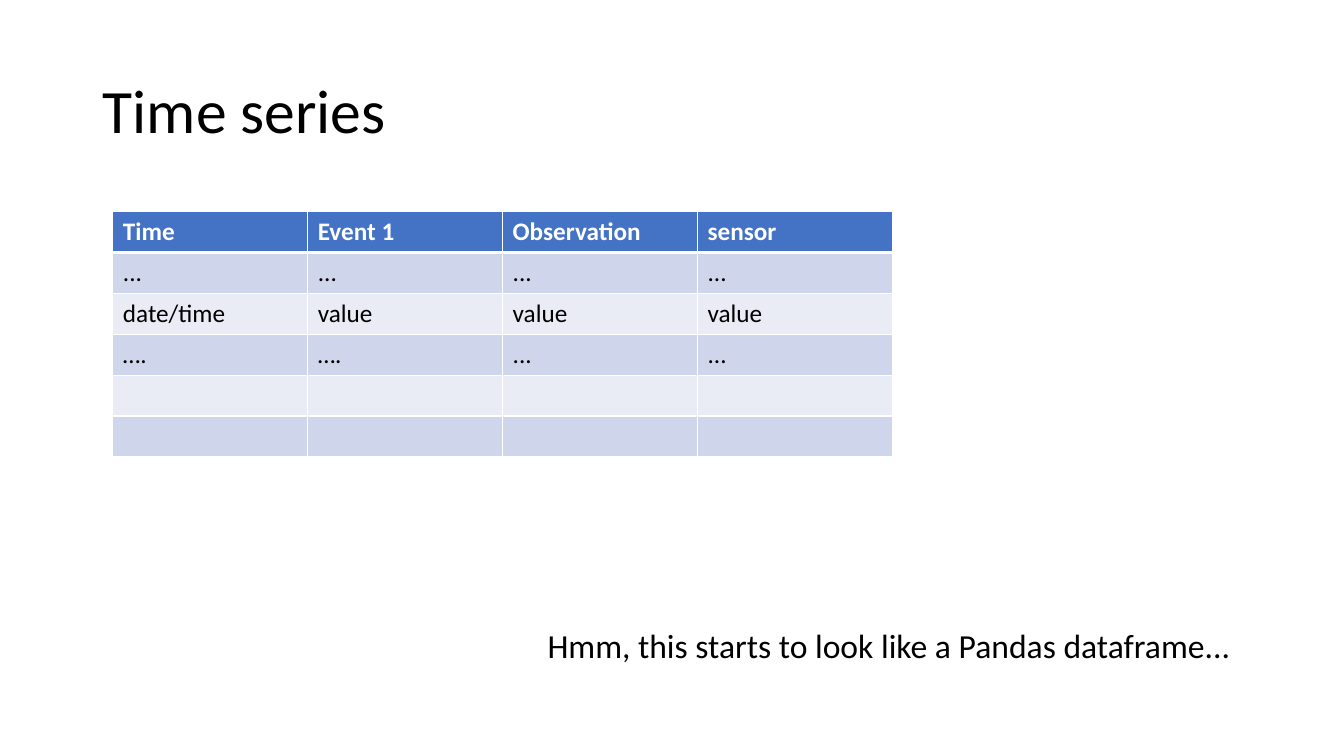
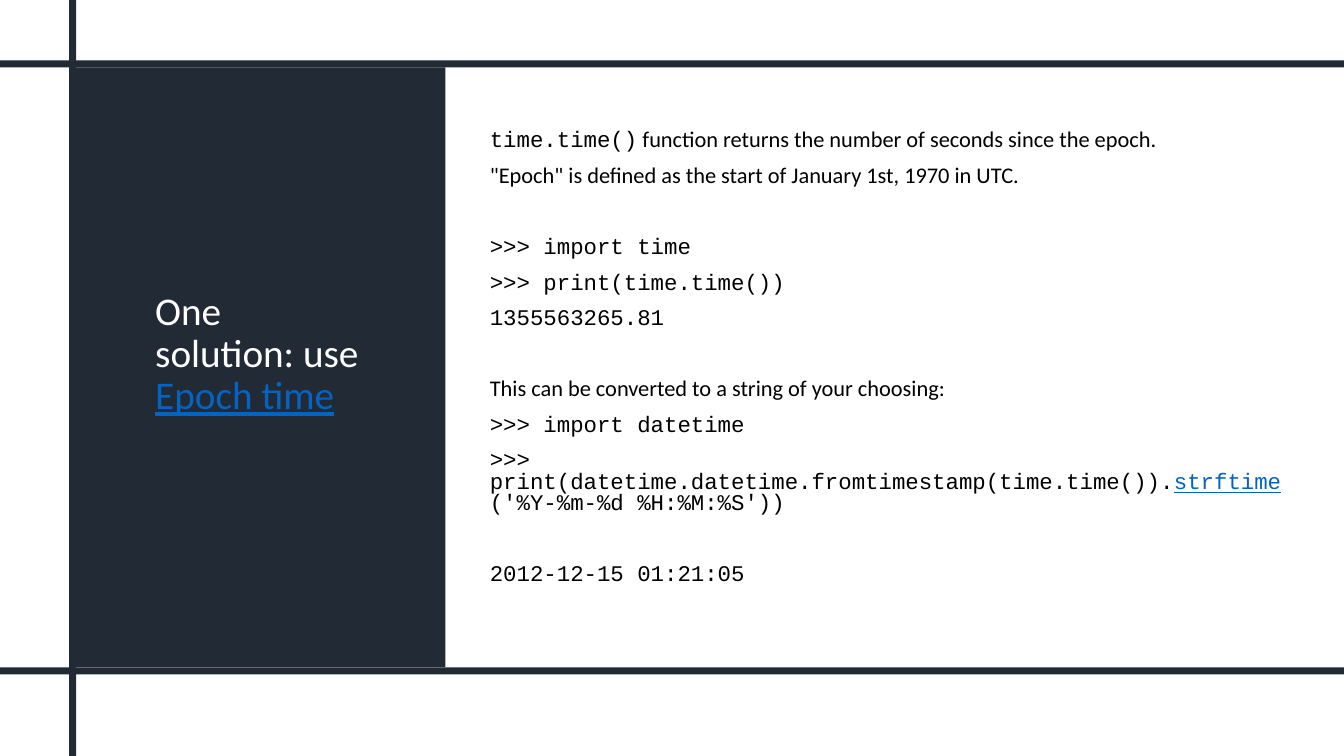
from lxml.etree import SubElement
from pptx import Presentation
from pptx.dml.color import RGBColor
from pptx.enum.shapes import MSO_SHAPE
from pptx.enum.text import MSO_ANCHOR, MSO_AUTO_SIZE, PP_ALIGN
from pptx.oxml.ns import qn
from pptx.util import Inches, Pt

WHITE = RGBColor(0xFF, 0xFF, 0xFF)
BLACK = RGBColor(0x00, 0x00, 0x00)
NAVY = RGBColor(0x22, 0x2A, 0x35)
BLUE = RGBColor(0x44, 0x72, 0xC4)
LINK = RGBColor(0x05, 0x63, 0xC1)
BANDS = (RGBColor(0xE9, 0xEB, 0xF5), RGBColor(0xCF, 0xD5, 0xEA))
SANS = "Calibri"
MONO = "Courier New"


class Deck:
    def __init__(self):
        self.deck = Presentation()
        self.deck.slide_width = Inches(13.33)
        self.deck.slide_height = Inches(7.5)
        self.slide = None

    def start(self, layout):
        self.slide = self.deck.slides.add_slide(self.deck.slide_layouts[layout])

    def box(self, left, top, width, height):
        wide, high = self.deck.slide_width, self.deck.slide_height
        return [int(share * side / 100) for share, side in
                ((left, wide), (top, high), (width, wide), (height, high))]

    def place(self, shape, area):
        shape.left, shape.top, shape.width, shape.height = self.box(*area)
        frame = shape.text_frame
        frame.word_wrap = True
        frame.auto_size = MSO_AUTO_SIZE.NONE
        frame.vertical_anchor = MSO_ANCHOR.MIDDLE
        return frame

    def words(self, para, text, size, color=BLACK, face=SANS, bold=False, line=False):
        run = para.add_run()
        run.text = text
        font = run.font
        font.name, font.size, font.bold = face, Pt(size), bold
        font.underline = line
        font.color.rgb = color

    def title(self, area, size, *parts):
        para = self.place(self.slide.shapes.title, area).paragraphs[0]
        para.alignment = PP_ALIGN.LEFT
        para.line_spacing = 0.9
        for text, color, line in parts:
            self.words(para, text, size, color, line=line)

    def body(self, area, size, groups):
        frame = self.place(self.slide.placeholders[1], area)
        para = None
        for group in groups:
            for index, parts in enumerate(group):
                first = para is None
                para = frame.paragraphs[0] if first else frame.add_paragraph()
                para.line_spacing = 0.8
                para.space_before = Pt(10 if first or index else 35.4)
                props = para._p.get_or_add_pPr()
                props.set("marL", "0")
                props.set("indent", "0")
                SubElement(props, qn("a:buNone"))
                for text, face, color in parts:
                    self.words(para, text, size, color, face, line=color == LINK)

    def note(self, area, text, size):
        shape = self.slide.shapes.add_textbox(*self.box(*area))
        shape.text_frame.word_wrap = True
        self.words(shape.text_frame.paragraphs[0], text, size)

    def bar(self, area, back=False):
        shape = self.slide.shapes.add_shape(MSO_SHAPE.RECTANGLE, *self.box(*area))
        shape.shadow.inherit = False
        shape.fill.solid()
        shape.fill.fore_color.rgb = NAVY
        shape.line.fill.background()
        if back:
            shape.element.getparent().insert(2, shape.element)

    def edge(self, cell, row):
        props = cell._tc.get_or_add_tcPr()
        widths = {"L": 1, "R": 1, "T": 3 if row == 1 else 1, "B": 1 if row else 3}
        for side, width in widths.items():
            line = SubElement(props, qn("a:ln" + side), w=str(int(Pt(width))))
            fill = SubElement(line, qn("a:solidFill"))
            SubElement(fill, qn("a:srgbClr"), val=str(WHITE))

    def table(self, area, rows, size):
        table = self.slide.shapes.add_table(
            len(rows), len(rows[0]), *self.box(*area)).table
        for row, texts in enumerate(rows):
            for col, text in enumerate(texts):
                cell = table.cell(row, col)
                self.edge(cell, row)
                cell.fill.solid()
                cell.fill.fore_color.rgb = BANDS[row % 2] if row else BLUE
                if text:
                    self.words(cell.text_frame.paragraphs[0], text, size,
                               BLACK if row else WHITE, bold=row == 0)


def prose(text):
    return text, SANS, BLACK


def code(text, color=BLACK):
    return text, MONO, color


def series(deck):
    deck.start(5)
    deck.title((6.9, 5.33, 86.25, 19.33), 44, ("Time series", BLACK, False))
    blank = [""] * 4
    deck.table((8.4, 28, 58, 32.4), [
        ["Time", "Event 1", "Observation", "sensor"],
        ["..."] * 4,
        ["date/time", "value", "value", "value"],
        ["….", "….", "...", "..."],
        blank,
        blank,
    ], 18)
    deck.note((40, 82, 53.85, 6.67),
              "Hmm, this starts to look like a Pandas dataframe...", 24)


def epoch(deck):
    deck.start(1)
    deck.bar((5.4, 8.93, 27.75, 79.33), back=True)
    deck.title((10.8, 14.67, 16.65, 64.53), 28,
               ("One solution: use ", WHITE, False), ("Epoch time", LINK, True))
    deck.body((35.7, 14.67, 60.84, 65.47), 16, [
        [[code("time.time()"),
          prose(" function returns the number of seconds since the epoch.")],
         [prose('"Epoch" is defined as the start of January 1st, 1970 in UTC.')]],
        [[code(">>> import time")],
         [code(">>> print(time.time())")],
         [code("1355563265.81")]],
        [[prose("This can be converted to a string of your choosing:")],
         [code(">>> import datetime")],
         [code(">>> print(datetime.datetime.fromtimestamp(time.time())."),
          code("strftime", LINK),
          code("('%Y-%m-%d %H:%M:%S'))")]],
        [[code("2012-12-15 01:21:05")]],
    ])
    for top in (8, 88.27):
        deck.bar((0, top, 100, 0.93))
    deck.bar((5.14, 0, 0.53, 100))


def main():
    show = Deck()
    series(show)
    epoch(show)
    show.deck.save("out.pptx")


if __name__ == "__main__":
    main()
